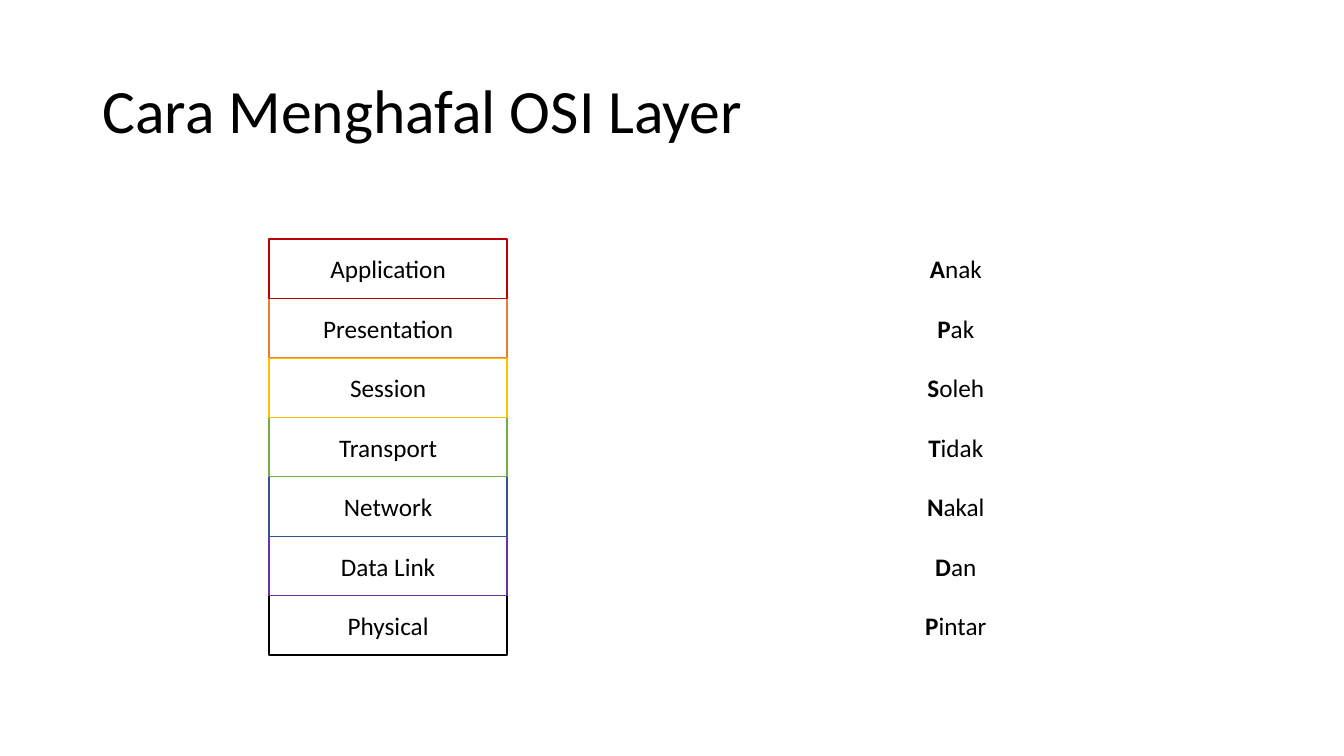
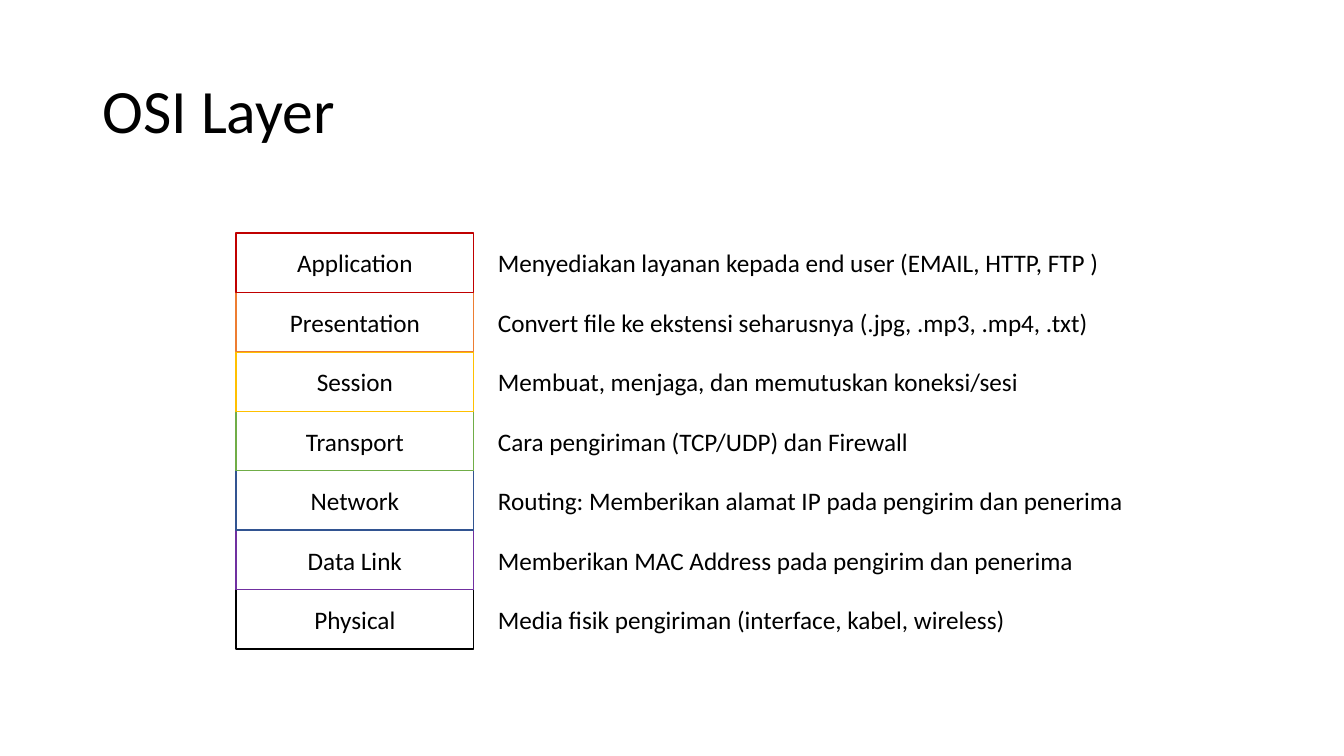
from dataclasses import dataclass

import pptx
import pptx.dml.color
import pptx.enum.shapes
import pptx.enum.text
import pptx.util

Inches = pptx.util.Inches
Align = pptx.enum.text.PP_ALIGN


@dataclass(frozen=True)
class Theme:
    font: str = "Calibri"
    text: str = "000000"
    paper: str = "FFFFFF"
    title_size: int = 44
    body_size: int = 18
    line_width: int = 1


@dataclass(frozen=True)
class Box:
    left: float
    top: float
    width: float
    height: float

    def row(self, index, count):
        height = self.height / count
        return Box(self.left, self.top + index * height, self.width, height)

    def lengths(self):
        return [Inches(value) for value in (self.left, self.top, self.width, self.height)]


@dataclass(frozen=True)
class Layer:
    name: str
    color: str
    mnemonic: str
    description: str


THEME = Theme()
SLIDE_WIDTH, SLIDE_HEIGHT = 13.33, 7.5
TITLE_BOX = Box(0.92, 0.4, 11.5, 1.45)
NAME_WIDTH = 2.36
DESCRIPTION_WIDTH = 6.5
STACK_HEIGHT = 4.13

LAYERS = [
    Layer("Application", "C00000", "Anak",
          "Menyediakan layanan kepada end user (EMAIL, HTTP, FTP )"),
    Layer("Presentation", "ED7D31", "Pak",
          "Convert file ke ekstensi seharusnya (.jpg, .mp3, .mp4, .txt)"),
    Layer("Session", "FFC000", "Soleh",
          "Membuat, menjaga, dan memutuskan koneksi/sesi"),
    Layer("Transport", "70AD47", "Tidak",
          "Cara pengiriman (TCP/UDP) dan Firewall"),
    Layer("Network", "325491", "Nakal",
          "Routing: Memberikan alamat IP pada pengirim dan penerima"),
    Layer("Data Link", "7030A0", "Dan",
          "Memberikan MAC Address pada pengirim dan penerima"),
    Layer("Physical", "000000", "Pintar",
          "Media fisik pengiriman (interface, kabel, wireless)"),
]


def rgb(value):
    return pptx.dml.color.RGBColor.from_string(value)


def write_text(shape, runs, size, alignment):
    frame = shape.text_frame
    frame.word_wrap = True
    frame.vertical_anchor = pptx.enum.text.MSO_ANCHOR.MIDDLE
    paragraph = frame.paragraphs[0]
    paragraph.alignment = alignment
    paragraph.font.name = THEME.font
    paragraph.font.size = pptx.util.Pt(size)
    paragraph.font.color.rgb = rgb(THEME.text)
    for text, bold in runs:
        run = paragraph.add_run()
        run.text = text
        if bold:
            run.font.bold = True
    return paragraph


def add_titled_slide(presentation, title):
    slide = presentation.slides.add_slide(presentation.slide_layouts[6])
    shape = slide.shapes.add_textbox(*TITLE_BOX.lengths())
    paragraph = write_text(shape, [(title, False)], THEME.title_size, Align.LEFT)
    paragraph.line_spacing = 0.9
    return slide


def add_cell(group, box, runs, line_color, alignment):
    shape = group.shapes.add_shape(
        pptx.enum.shapes.MSO_SHAPE.RECTANGLE, *box.lengths())
    shape.shadow.inherit = False
    shape.fill.solid()
    shape.fill.fore_color.rgb = rgb(THEME.paper)
    shape.line.color.rgb = rgb(line_color)
    shape.line.width = pptx.util.Pt(THEME.line_width)
    write_text(shape, runs, THEME.body_size, alignment)


def add_stack(group, box, cells, alignment=Align.CENTER):
    for index, (runs, line_color) in reversed(list(enumerate(cells))):
        add_cell(group, box.row(index, len(cells)), runs, line_color, alignment)


def add_layer_names(group, box):
    add_stack(group, box, [([(layer.name, False)], layer.color) for layer in LAYERS])


def add_mnemonics(group, box):
    cells = [([(layer.mnemonic[0], True), (layer.mnemonic[1:], False)], THEME.paper)
             for layer in LAYERS]
    add_stack(group, box, cells)


def add_descriptions(group, box):
    cells = [([(layer.description, False)], THEME.paper) for layer in LAYERS]
    add_stack(group, box, cells, Align.JUSTIFY)


def build_mnemonic_slide(presentation):
    slide = add_titled_slide(presentation, "Cara Menghafal OSI Layer")
    top = 2.37
    add_layer_names(slide.shapes.add_group_shape(),
                    Box(2.67, top, NAME_WIDTH, STACK_HEIGHT))
    add_mnemonics(slide.shapes.add_group_shape(),
                  Box(8.3, top, NAME_WIDTH, STACK_HEIGHT))


def build_description_slide(presentation):
    slide = add_titled_slide(presentation, "OSI Layer")
    group = slide.shapes.add_group_shape()
    left, top, gap = 2.34, 2.31, 0.14
    add_layer_names(group, Box(left, top, NAME_WIDTH, STACK_HEIGHT))
    add_descriptions(group, Box(left + NAME_WIDTH + gap, top,
                                DESCRIPTION_WIDTH, STACK_HEIGHT))


def main():
    presentation = pptx.Presentation()
    presentation.slide_width = Inches(SLIDE_WIDTH)
    presentation.slide_height = Inches(SLIDE_HEIGHT)
    build_mnemonic_slide(presentation)
    build_description_slide(presentation)
    presentation.save("out.pptx")


if __name__ == "__main__":
    main()
